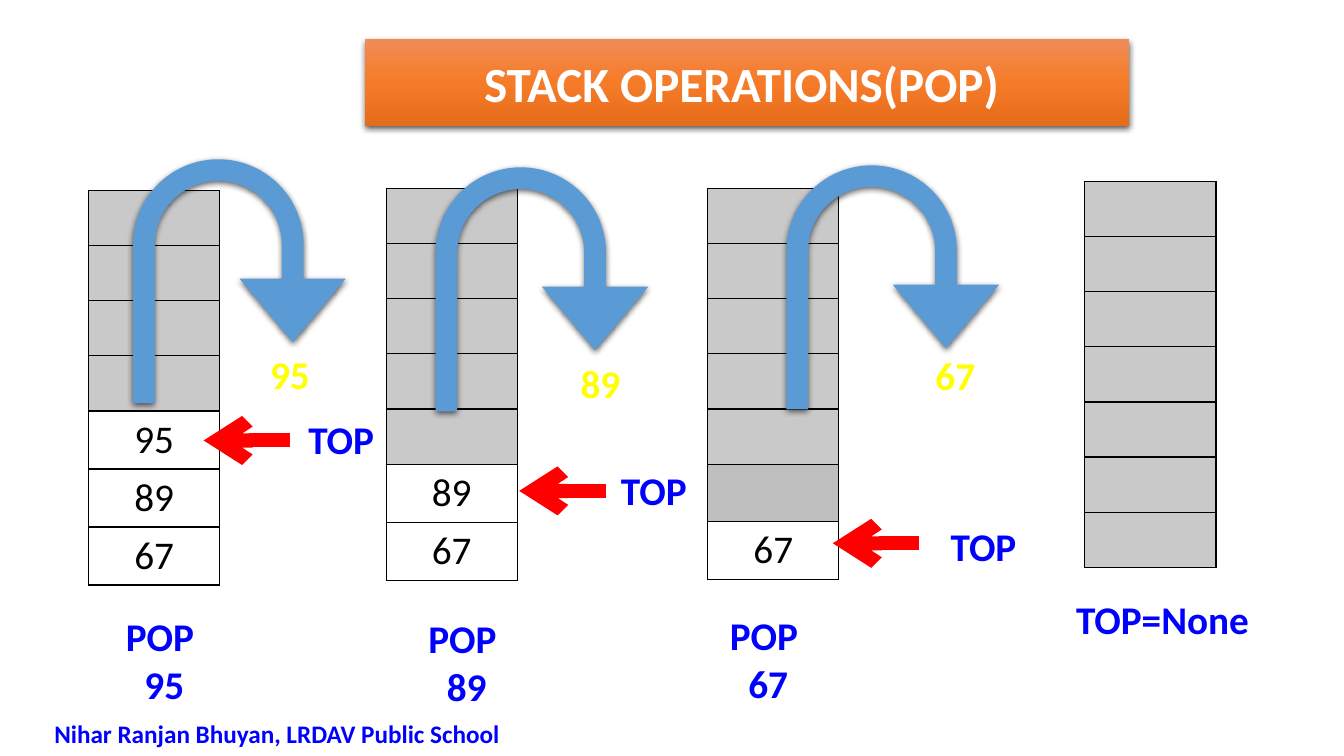
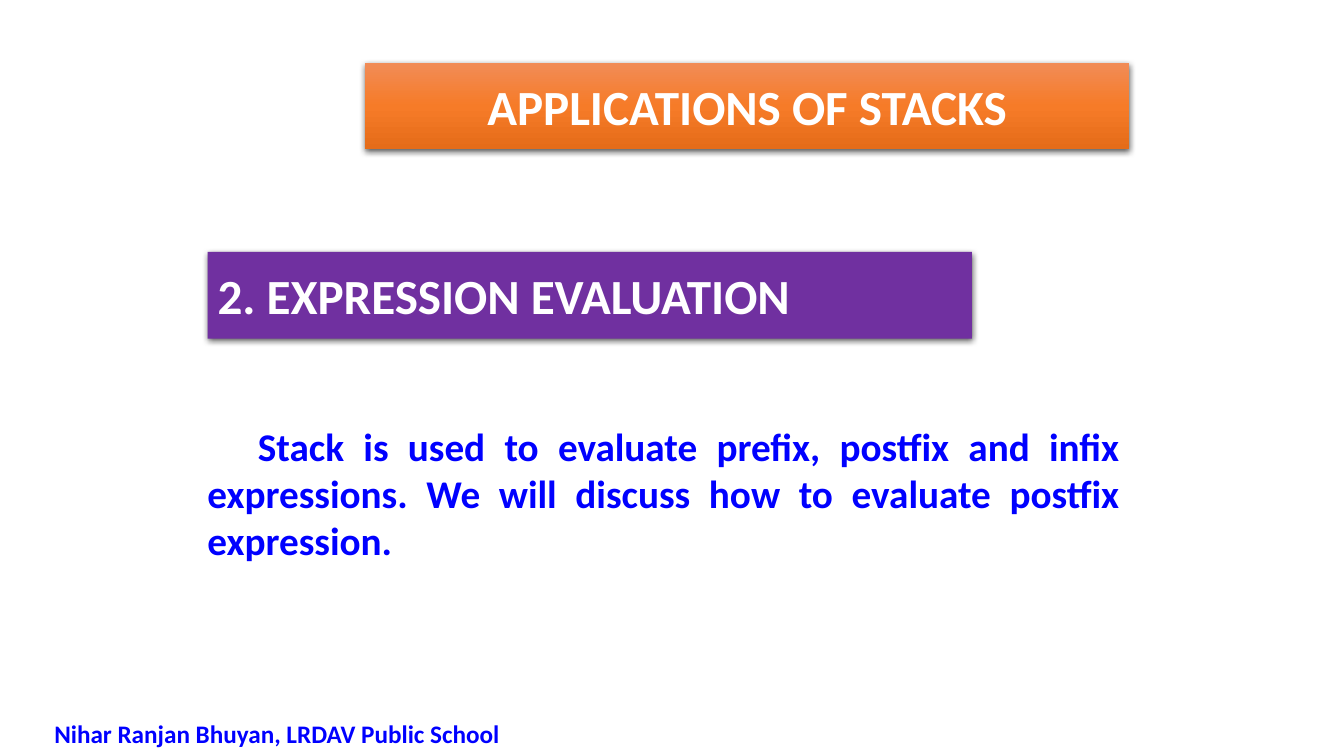
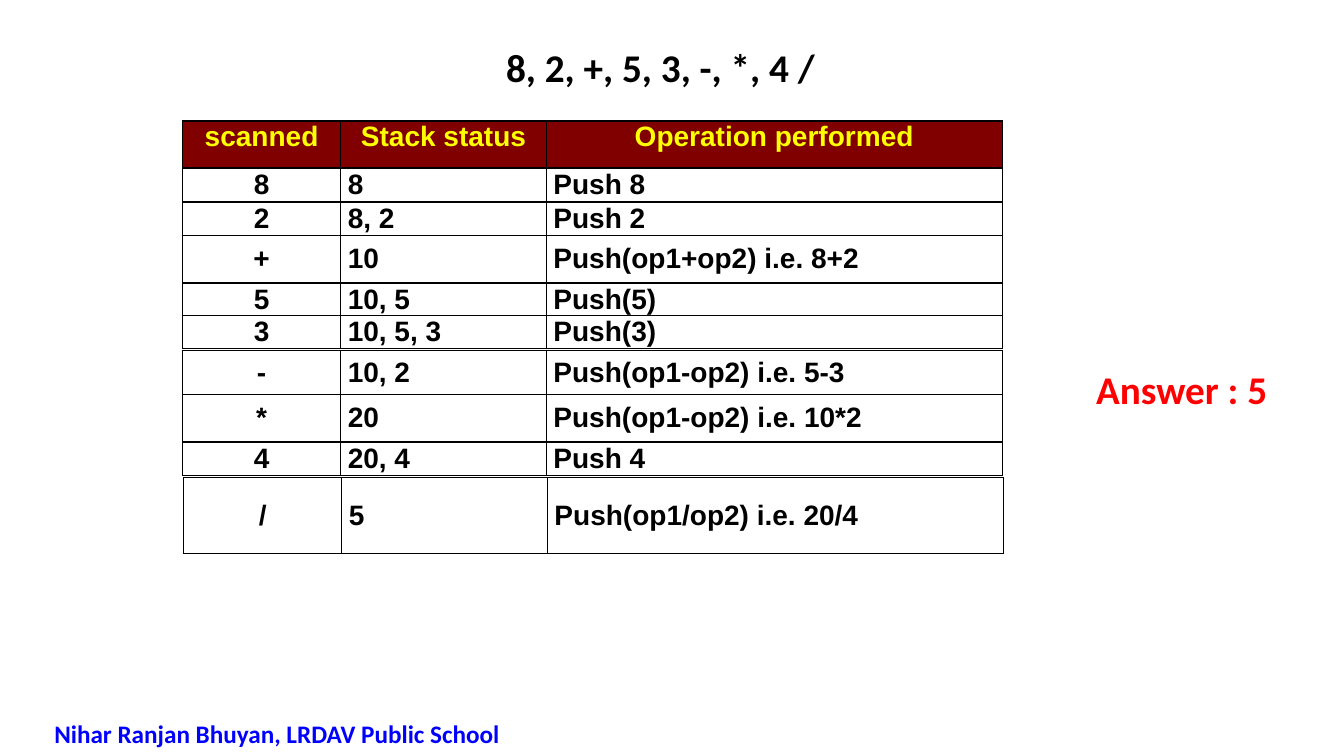
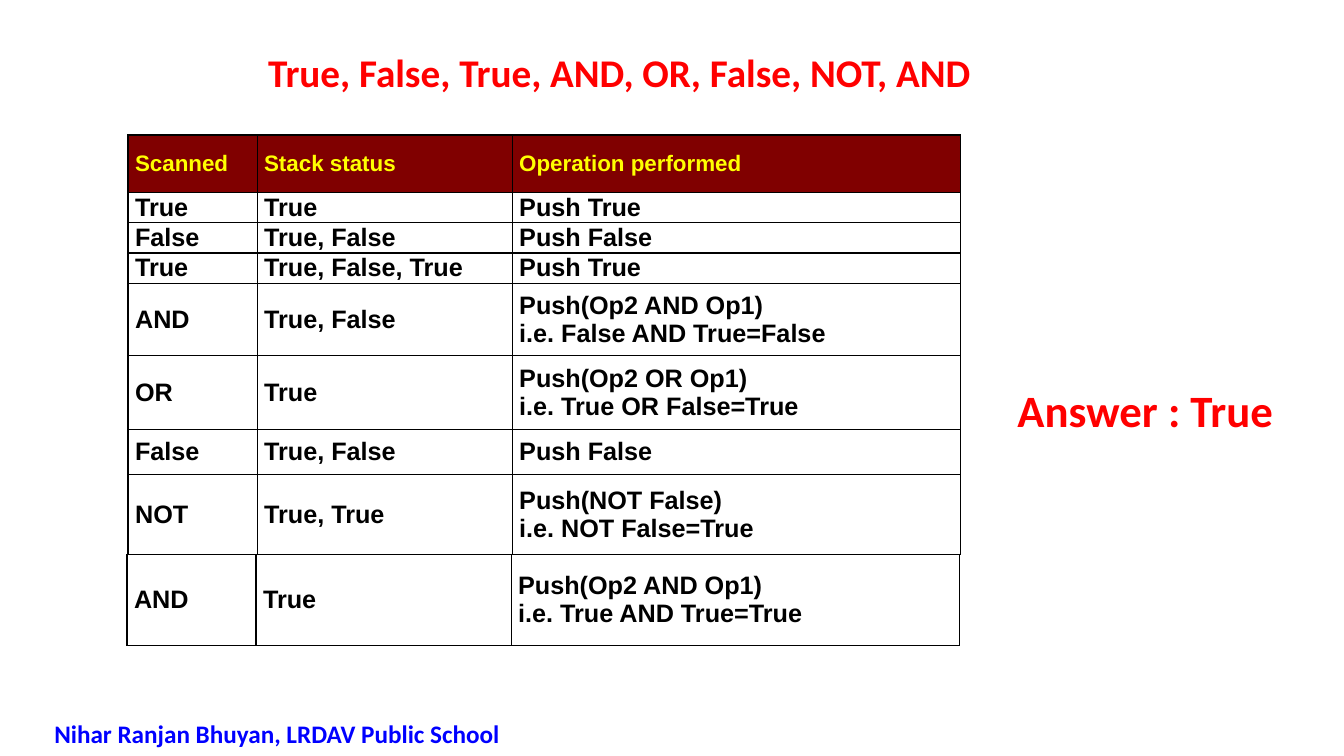
from copy import deepcopy
from lxml.etree import SubElement as Sub
from pptx import Presentation
from pptx.dml.color import RGBColor as RGB
from pptx.enum.shapes import MSO_CONNECTOR as Link, MSO_SHAPE as Kind
from pptx.enum.text import MSO_ANCHOR as Anchor, MSO_AUTO_SIZE as Fit, PP_ALIGN as Align
from pptx.oxml.ns import qn
from pptx.util import Inches, Pt

HUES = {
    "white": "FFFFFF", "black": "000000", "blue": "0000FF", "red": "FF0000",
    "yellow": "FFFF00", "maroon": "800000", "purple": "7030A0", "sky": "5B9BD5",
    "grey": "C9C9C9", "dim": "BFBFBF",
    "glow": "F18C57", "orange": "F67B28", "rust": "E56C19",
}
COLS = {name: RGB.from_string(code) for name, code in HUES.items()}
LEFT, MID, JUST = Align.LEFT, Align.CENTER, Align.JUSTIFY
FOOT = "Nihar Ranjan Bhuyan, LRDAV Public School"


def write(frame, text, size, hue, align=LEFT, font="Calibri", bold=True):
    frame.text = text
    frame.word_wrap = True
    for para in frame.paragraphs:
        para.alignment = align
        for run in para.runs:
            run.font.name, run.font.size, run.font.bold = font, Pt(size), bold
            run.font.color.rgb = COLS[hue]


def grid(slide, left, top, wides, highs):
    box = slide.shapes.add_table(len(highs), len(wides), Inches(left), Inches(top),
                                 Inches(sum(wides)), Inches(sum(highs)))
    table = box.table
    table.first_row = table.horz_banding = False
    for col, wide in zip(table.columns, wides):
        col.width = Inches(wide)
    for row, high in zip(table.rows, highs):
        row.height = Inches(high)
    for cell in table.iter_cells():
        props = cell._tc.get_or_add_tcPr()
        for side in ("a:lnL", "a:lnR", "a:lnT", "a:lnB"):
            edge = Sub(props, qn(side), w=str(Pt(1)))
            Sub(Sub(edge, qn("a:solidFill")), qn("a:srgbClr"), val=HUES["black"])
    return table


deck = Presentation()
deck.slide_width, deck.slide_height = Inches(13.33), Inches(7.5)
pop, uses, math, logic = [deck.slides.add_slide(deck.slide_layouts[5]) for _ in range(4)]
raised = []  # shapes with a drop shadow
notes = []   # slide, box, text, size, hue, align

# Titles: box, text, size, hue, align
heads = [
    (pop, (3.62, 0.39, 7.58, 0.86), "STACK OPERATIONS(POP) ", 35.1, "white", MID),
    (uses, (3.62, 0.62, 7.58, 0.86), "APPLICATIONS OF STACKS", 35.1, "white", MID),
    (math, (4.92, 0.38, 3.31, 0.57), "8, 2, +, 5, 3, -, *, 4 /", 28, "black", LEFT),
    (logic, (2.56, 0.43, 8.17, 0.57), "True, False, True, AND, OR, False, NOT, AND",
     28, "red", LEFT),
]
for slide, box, *style in heads:
    title = slide.shapes.title
    title.left, title.top, title.width, title.height = map(Inches, box)
    write(title.text_frame, *style)
    title.text_frame.auto_size = Fit.NONE
    title.text_frame.vertical_anchor = Anchor.MIDDLE
    if slide in (pop, uses):
        title.fill.gradient()
        title.fill.gradient_angle = 270
        stops = title.element.spPr.find(".//" + qn("a:gsLst"))
        stops.append(deepcopy(stops[1]))
        for stop, spot, hue in zip(title.fill.gradient_stops, (0, 0.5, 1),
                                   ("glow", "orange", "rust")):
            stop.position = spot
            stop.color.rgb = COLS[hue]
        raised.append(title)
math.shapes.title.text_frame.word_wrap = False

# Stacks: "" is a free cell, None a cell just popped
stacks = [
    (0.88, 1.89, ["", "", "", "", "95", "89", "67"]),
    (3.83, 1.87, ["", "", "", "", "", "89", "67"]),
    (7.02, 1.87, ["", "", "", "", "", None, "67"]),
    (10.76, 1.8, [""] * 7),
]
for left, top, vals in stacks:
    highs = [3.83 / 7 if val == "" else 0.57 for val in vals]
    table = grid(pop, left, top, [1.3], highs)
    for cell, val in zip(table.iter_cells(), vals):
        cell.fill.solid()
        hue = "dim" if val is None else "white" if val else "grey"
        cell.fill.fore_color.rgb = COLS[hue]
        if val:
            write(cell.text_frame, val, 28, "black", MID, bold=False)

# Pops: value, U-turn, popped value, arrow tail, TOP label, caption
pops = [
    ("95", (1.32, 1.58), (2.29, 3.43), (2.88, 4.37), (2.8, 4.07), (0.85, 6.03)),
    ("89", (4.32, 1.66), (5.37, 3.52), (6.01, 4.87), (5.9, 4.58), (3.85, 6.05)),
    ("67", (7.8, 1.64), (8.89, 3.44), (9.12, 5.39), (9.17, 5.13), (6.84, 6.02)),
]
for val, turn, out, tail, tag, foot in pops:
    bend = pop.shapes.add_shape(Kind.U_TURN_ARROW, *map(Inches, (*turn, 2.11, 2.42)))
    for num, size in enumerate((0.102, 0.25, 0.299, 0.438, 0.75)):
        bend.adjustments[num] = size
    bend.fill.solid()
    bend.fill.fore_color.rgb = COLS["sky"]
    bend.line.fill.background()
    raised.append(bend)

    x, y = tail
    arrow = pop.shapes.add_connector(Link.STRAIGHT, *map(Inches, (x, y, x - 0.86, y)))
    arrow.line.color.rgb = COLS["red"]
    arrow.line.width = Pt(10)
    props = arrow.element.spPr
    Sub(props.find(qn("a:ln")), qn("a:tailEnd"), type="arrow")
    Sub(props, qn("a:effectLst"))

    notes += [
        (pop, (*out, 1.17, 0.57), val, 28, "yellow", MID),
        (pop, (*tag, 1.17, 0.57), "TOP", 28, "blue", MID),
        (pop, (*foot, 1.56, 1.04), "POP \n" + val, 28, "blue", MID),
    ]
notes.append((pop, (10.28, 5.86, 2.5, 0.57), "TOP=None", 28, "blue", MID))

# Applications: section bar and body
bar = uses.shapes.add_shape(Kind.RECTANGLE, *map(Inches, (2.06, 2.5, 7.58, 0.86)))
bar.fill.solid()
bar.fill.fore_color.rgb = COLS["purple"]
bar.line.fill.background()
write(bar.text_frame, "2. EXPRESSION EVALUATION", 35.1, "white")
bar.text_frame.vertical_anchor = Anchor.MIDDLE
raised.append(bar)

body = uses.shapes.add_textbox(*map(Inches, (1.96, 4.14, 9.24, 1.51))).text_frame
write(body, "Stack is used to evaluate prefix, postfix and infix expressions. "
      "We will discuss how to evaluate postfix expression.", 28, "blue", JUST)
body.paragraphs[0]._p.get_or_add_pPr().set("indent", str(Inches(0.5)))

# Evaluation steps, each a one-row table: left, top, height, texts
sums = [
    (1.81, 1.2, 0.46, "scanned", "Stack status", "Operation performed"),
    (1.81, 1.67, 0.33, "8", "8", "Push 8"),
    (1.81, 2.01, 0.33, "2", "8, 2", "Push 2"),
    (1.81, 2.34, 0.46, "+", "10", "Push(op1+op2) i.e. 8+2"),
    (1.81, 2.81, 0.33, "5", "10, 5", "Push(5)"),
    (1.81, 3.13, 0.33, "3", "10, 5, 3", "Push(3)"),
    (1.81, 3.48, 0.44, "-", "10, 2", "Push(op1-op2) i.e. 5-3"),
    (1.81, 3.91, 0.47, "*", "20", "Push(op1-op2) i.e. 10*2"),
    (1.81, 4.39, 0.33, "4", "20, 4", "Push 4"),
    (1.82, 4.74, 0.75, "/", "5", "Push(op1/op2) i.e. 20/4"),
]
bools = [
    (1.27, 1.34, 0.57, "Scanned", "Stack status", "Operation performed"),
    (1.27, 1.91, 0.3, "True", "True", "Push True"),
    (1.27, 2.21, 0.3, "False", "True, False", "Push False"),
    (1.27, 2.51, 0.3, "True", "True, False, True", "Push True"),
    (1.27, 2.81, 0.72, "AND", "True, False", "Push(Op2 AND Op1) \ni.e. False AND True=False"),
    (1.27, 3.53, 0.73, "OR", "True", "Push(Op2 OR Op1) \ni.e. True OR False=True"),
    (1.27, 4.26, 0.45, "False", "True, False", "Push False"),
    (1.27, 4.71, 0.79, "NOT", "True, True", "Push(NOT False) \ni.e. NOT False=True"),
    (1.26, 5.5, 0.9, "AND", "True", "Push(Op2 AND Op1) \ni.e. True AND True=True"),
]
# Slide, widths, steps, head size, text size, head anchor, head align, column aligns
traces = [
    (math, (1.57, 2.04, 4.52), sums, 20, 20, Anchor.TOP, MID, (MID, LEFT, JUST)),
    (logic, (1.28, 2.53, 4.45), bools, 16, 18, Anchor.MIDDLE, LEFT, (JUST, JUST, JUST)),
]
for slide, wides, steps, big, size, anchor, align, sides in traces:
    for num, (left, top, high, *texts) in enumerate(steps):
        table = grid(slide, left, top, wides, [high])
        for cell, text, side in zip(table.iter_cells(), texts, sides):
            cell.margin_left = cell.margin_right = Inches(0.07)
            cell.margin_top = cell.margin_bottom = 0
            cell.vertical_anchor = Anchor.MIDDLE if num else anchor
            cell.fill.solid()
            cell.fill.fore_color.rgb = COLS["white" if num else "maroon"]
            write(cell.text_frame, text, size if num else big,
                  "black" if num else "yellow", side if num else align, "Arial")
notes += [
    (math, (10.7, 3.58, 2.04, 0.57), "Answer : 5", 28, "red", MID),
    (logic, (9.91, 3.75, 2.9, 0.64), "Answer : True", 32, "red", MID),
]

# Labels and footers
for slide in deck.slides:
    notes.append((slide, (0.44, 7.08, 4.77, 0.4), FOOT, 18, "blue", LEFT))
for slide, box, *style in notes:
    write(slide.shapes.add_textbox(*map(Inches, box)).text_frame, *style)

# Drop shadows
for shape in raised:
    shape.shadow.inherit = False
    glow = Sub(shape.element.spPr.find(qn("a:effectLst")), qn("a:outerShdw"),
               blurRad=str(Pt(4.5)), dist=str(Pt(1.5)), dir="5400000", rotWithShape="0")
    tint = Sub(glow, qn("a:srgbClr"), val=HUES["black"])
    Sub(tint, qn("a:alpha"), val="63000")

deck.save("out.pptx")
